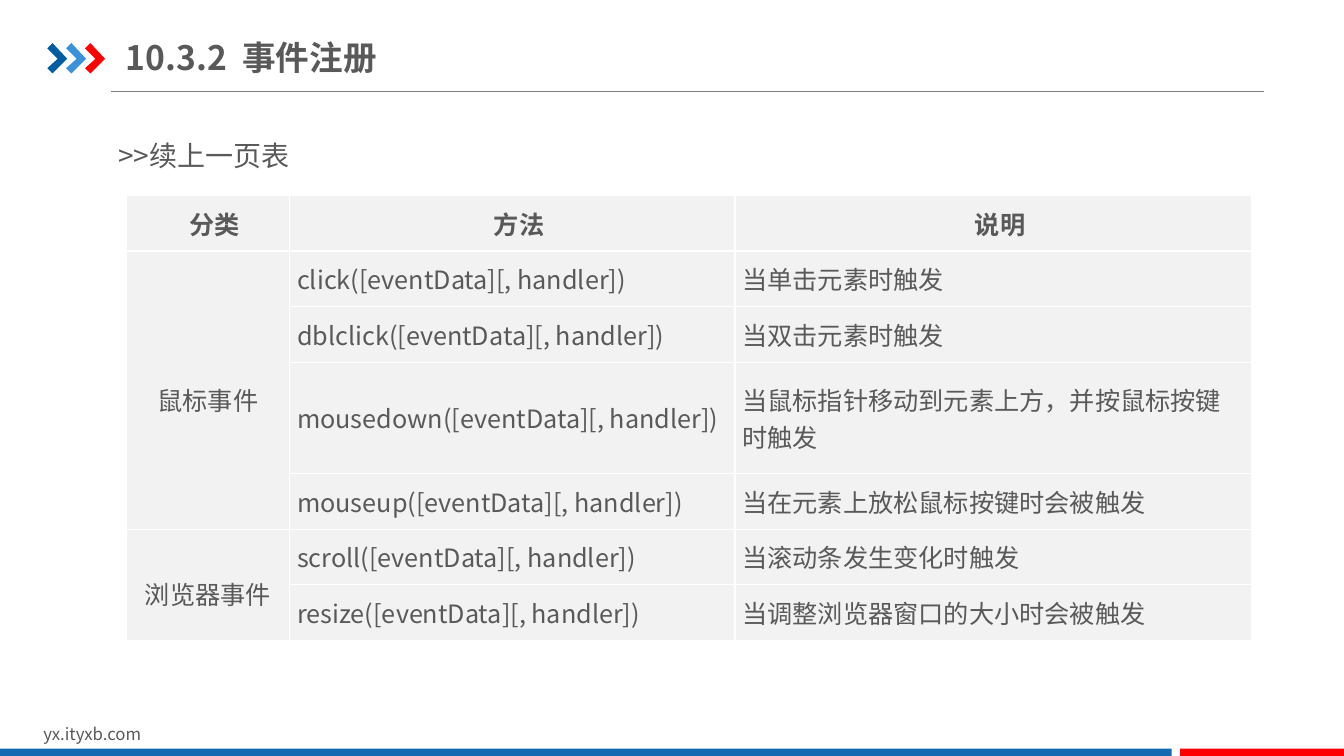
from lxml import etree
from pptx import Presentation
from pptx import util as u
from pptx.dml.color import RGBColor
from pptx.enum import shapes, text
from pptx.oxml import ns

WHITE = RGBColor(0xFF, 0xFF, 0xFF)
CELL = RGBColor(0xF2, 0xF2, 0xF2)
INK = RGBColor(0x59, 0x59, 0x59)
GREY = RGBColor(0x80, 0x80, 0x80)
NAVY = RGBColor(0x00, 0x5D, 0xA2)
SKY = RGBColor(0x39, 0x92, 0xDB)
BLUE = RGBColor(0x13, 0x69, 0xB2)
RED = RGBColor(0xFF, 0x00, 0x00)

PX = 9525
FONT = "Noto Sans CJK SC"
CHEVRON = [(0, 5), (5, 0), (19, 15), (5, 29), (0, 24), (10, 15)]
COLUMNS = [156, 424, 492]
ROW = 53
HEADINGS = ["分类", "方法", "说明"]
GROUPS = {
    "鼠标事件": [
        ("click", "当单击元素时触发", 1),
        ("dblclick", "当双击元素时触发", 1),
        ("mousedown", "当鼠标指针移动到元素上方，并按鼠标按键时触发", 2),
        ("mouseup", "当在元素上放松鼠标按键时会被触发", 1),
    ],
    "浏览器事件": [
        ("scroll", "当滚动条发生变化时触发", 1),
        ("resize", "当调整浏览器窗口的大小时会被触发", 1),
    ],
}


def write(frame, words, size=18, bold=False, align=None, spacing=None, indent=0):
    """Fill the first paragraph of a text frame with formatted words."""
    para = frame.paragraphs[0]
    if indent:
        para._p.get_or_add_pPr().set("indent", str(indent * PX))
    para.alignment = align
    para.line_spacing = spacing
    span = para.add_run()
    span.text = words
    span.font.name = FONT
    span.font.size = u.Pt(size)
    span.font.bold = bold
    span.font.color.rgb = INK
    etree.SubElement(span.font._element, ns.qn("a:ea"), typeface=FONT)


class Painter:
    """Draws styled elements on the current page, measured in px."""

    def __init__(self, page):
        self.page = page

    def paint(self, shape, color):
        """Give a shape a flat fill with no outline or shadow."""
        shape.shadow.inherit = False
        shape.fill.solid()
        shape.fill.fore_color.rgb = color
        shape.line.fill.background()

    def bar(self, left, top, width, height, color):
        """Add a flat rectangle."""
        sides = [side * PX for side in (left, top, width, height)]
        self.paint(self.page.shapes.add_shape(shapes.MSO_SHAPE.RECTANGLE, *sides), color)

    def chevron(self, left, top, color):
        """Add one arrow-shaped outline."""
        points = [(left + x, top + y) for x, y in CHEVRON]
        builder = self.page.shapes.build_freeform(*points[0], scale=PX)
        builder.add_line_segments(points[1:], close=True)
        self.paint(builder.convert_to_shape(), color)

    def rule(self, left, top, right, color):
        """Add a thin horizontal line."""
        line = self.page.shapes.add_connector(
            shapes.MSO_CONNECTOR.STRAIGHT, left * PX, top * PX, right * PX, top * PX)
        line.line.color.rgb = color
        line.line.width = u.Pt(0.75)
        etree.SubElement(line._element.spPr, ns.qn("a:effectLst"))

    def label(self, left, top, width, height, words, **style):
        """Add a text box and return its frame."""
        sides = [side * PX for side in (left, top, width, height)]
        frame = self.page.shapes.add_textbox(*sides).text_frame
        frame.word_wrap = True
        write(frame, words, **style)
        return frame

    def grid(self, left, top, columns, heights):
        """Add a table of plain cells with white borders."""
        table = self.page.shapes.add_table(
            len(heights), len(columns), left * PX, top * PX,
            sum(columns) * PX, sum(heights) * PX).table
        for column, width in zip(table.columns, columns):
            column.width = width * PX
        for row, height in zip(table.rows, heights):
            row.height = height * PX
        for cell in table.iter_cells():
            self.style_cell(cell)
        return table

    def style_cell(self, cell):
        """Set margins, borders and fill of a table cell."""
        cell.margin_left = cell.margin_right = 7 * PX
        cell.margin_top = cell.margin_bottom = 0
        cell.vertical_anchor = text.MSO_ANCHOR.MIDDLE
        for side in ("lnL", "lnR", "lnT", "lnB"):
            border = etree.SubElement(
                cell._tc.get_or_add_tcPr(), ns.qn(f"a:{side}"), w=str(u.Pt(1)))
            fill = etree.SubElement(border, ns.qn("a:solidFill"))
            etree.SubElement(fill, ns.qn("a:srgbClr"), val=str(WHITE))
        cell.fill.solid()
        cell.fill.fore_color.rgb = CELL


def fill_events(painter):
    """Build the table of event methods."""
    center = text.PP_ALIGN.CENTER
    heights = [ROW] + [ROW * lines for group in GROUPS.values() for _, _, lines in group]
    table = painter.grid(120, 186, COLUMNS, heights)
    for column, heading in enumerate(HEADINGS):
        write(table.cell(0, column).text_frame, heading, bold=True, align=center, indent=13)
    row = 1
    for category, events in GROUPS.items():
        first = table.cell(row, 0)
        first.merge(table.cell(row + len(events) - 1, 0))
        write(first.text_frame, category, align=center, spacing=1.5)
        for method, meaning, _ in events:
            write(table.cell(row, 1).text_frame, f"{method}([eventData][, handler])")
            write(table.cell(row, 2).text_frame, meaning)
            row += 1


def main():
    """Create the deck and save it."""
    deck = Presentation()
    deck.slide_width, deck.slide_height = 1280 * PX, 720 * PX
    painter = Painter(deck.slides.add_slide(deck.slide_layouts[6]))
    painter.rule(106, 87, 1204, GREY)
    for place, color in enumerate([NAVY, SKY, RED]):
        painter.chevron(45 + 18 * place, 41, color)
    painter.label(32, 685, 305, 29, "yx.ityxb.com", size=12)
    painter.bar(0, 713, 1116, 7, BLUE)
    painter.bar(1124, 713, 156, 7, RED)
    title = painter.label(120, 28, 409, 53, "10.3.2  事件注册", size=24, bold=True)
    title.margin_left = title.margin_right = 0
    title.margin_top = title.margin_bottom = 7 * PX
    title.vertical_anchor = text.MSO_ANCHOR.MIDDLE
    fill_events(painter)
    painter.label(103, 111, 204, 59, ">>续上一页表", size=20, spacing=1.5)
    deck.save("out.pptx")


if __name__ == "__main__":
    main()
